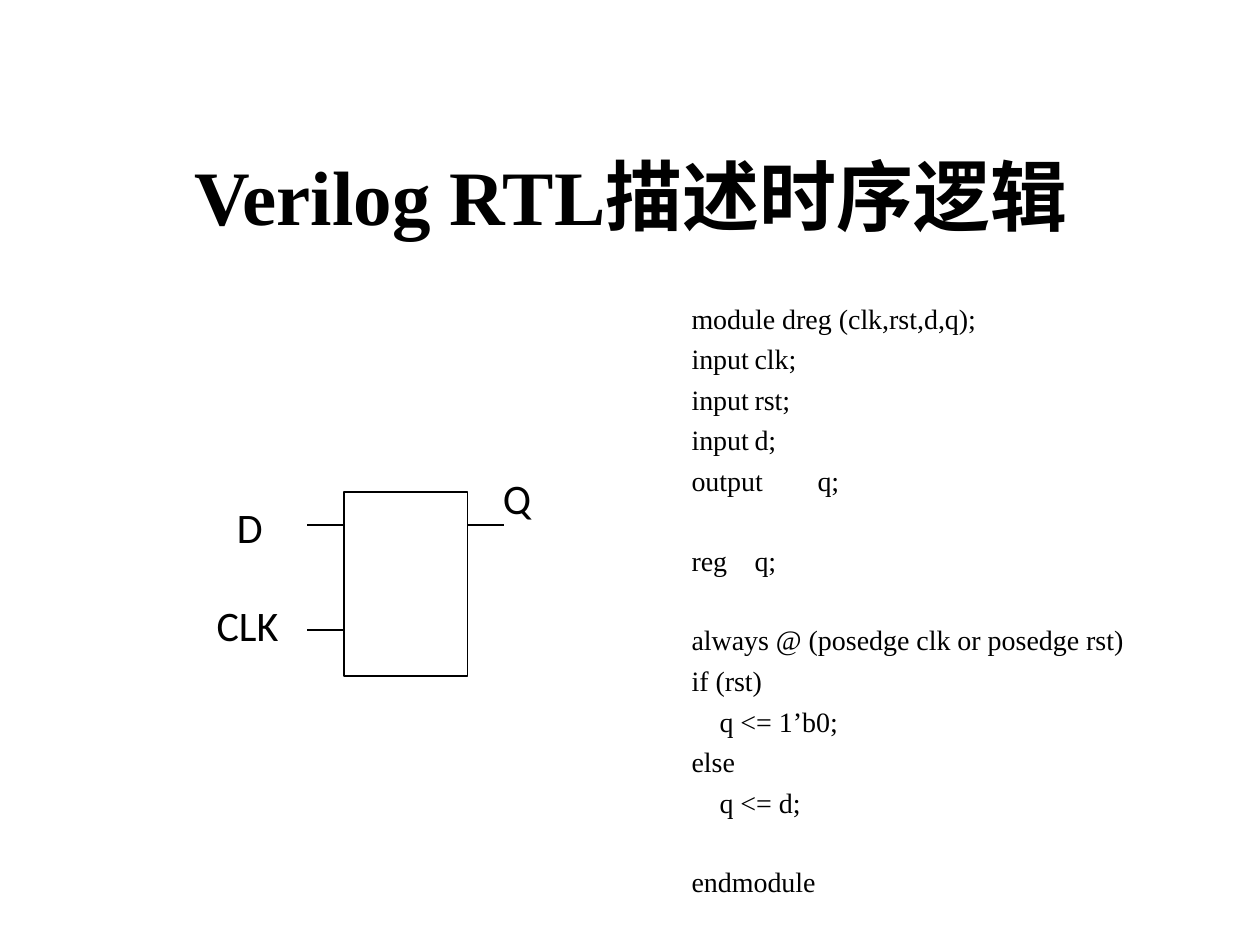
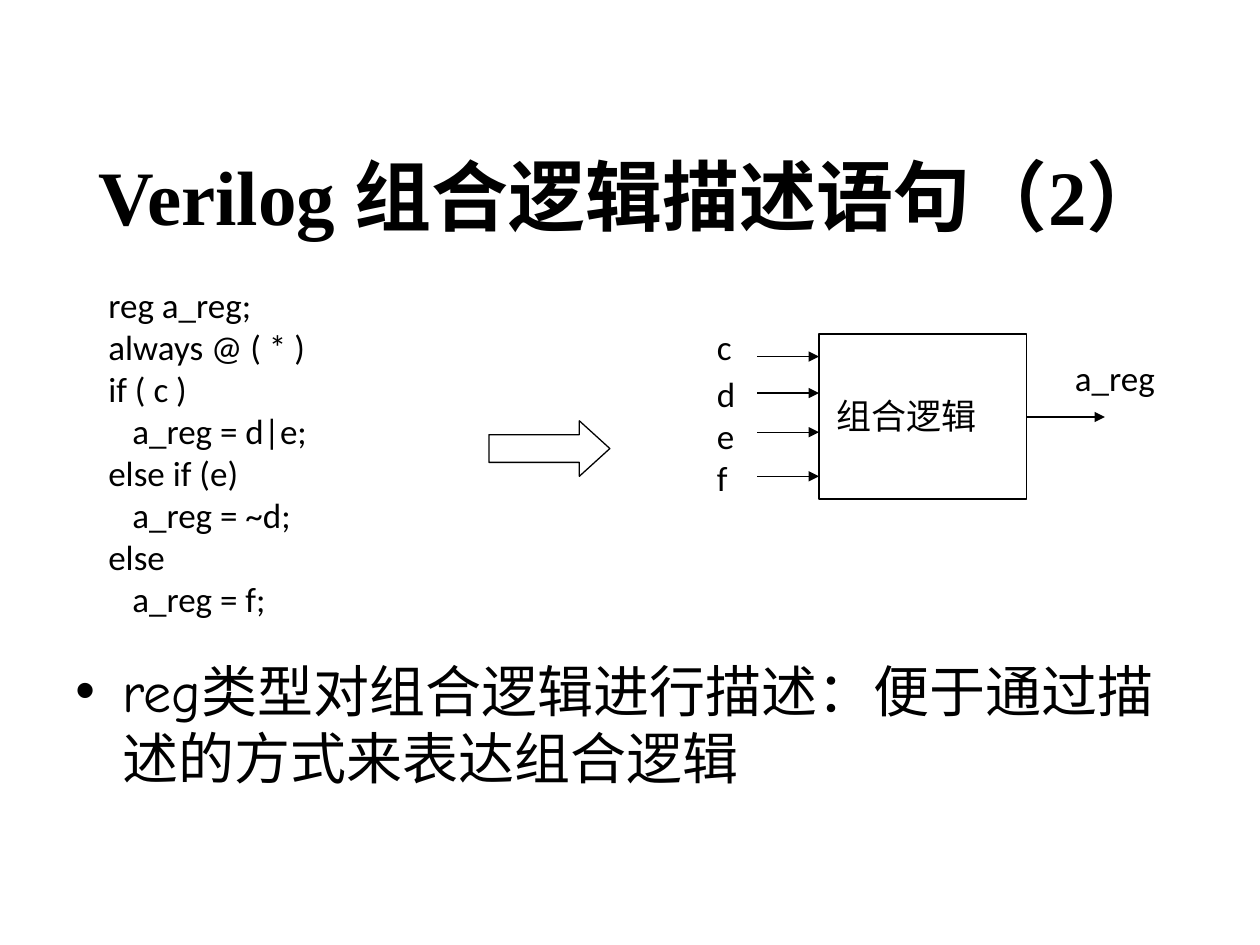
import pptx
import pptx.dml.color
import pptx.enum.shapes
import pptx.enum.text
import pptx.oxml
import pptx.oxml.ns
import pptx.util

Pt = pptx.util.Pt
SHAPES = pptx.enum.shapes.MSO_SHAPE
COLOURS = {"ink": "000000", "paper": "FFFFFF"}
SERIF, SANS, HAND = "Times New Roman", "Calibri", "Comic Neue"

# Code lines: (indent level, extra blank lines above, text)
REGISTER_TITLE = "Verilog RTL描述时序逻辑"
REGISTER_CODE = [
    (0, 0, "module dreg (clk,rst,d,q);"),
    (0, 0, "input\tclk;"),
    (0, 0, "input\trst;"),
    (0, 0, "input\td;"),
    (0, 0, "output\tq;"),
    (0, 1, "reg\tq;"),
    (0, 1, "always @ (posedge clk or posedge rst)"),
    (0, 0, "if (rst)"),
    (1, 0, "q <= 1’b0;"),
    (0, 0, "else"),
    (1, 0, "q <= d;"),
    (0, 1, "endmodule"),
]
# Pin labels: (text, left, top, width)
REGISTER_PINS = [("CLK", 123.8, 342.7, 36), ("D", 135.4, 286.6, 24), ("Q", 287.3, 270, 24)]

LOGIC_TITLE = "Verilog 组合逻辑描述语句（2）"
LOGIC_CODE = [
    (0, 0, "reg a_reg;"),
    (0, 0, "always @ ( * )"),
    (0, 0, "if ( c )"),
    (1, 0, "a_reg = d|e;"),
    (0, 0, "else if (e)"),
    (1, 0, "a_reg = ~d;"),
    (0, 0, "else"),
    (1, 0, "a_reg = f;"),
]
# Inputs: (text, label top, arrow height on the page)
LOGIC_INPUTS = [("c", 185.8, 203.8), ("d", 213.1, 224.6), ("e", 236.9, 247), ("f", 260.6, 272.2)]
LOGIC_NOTE = "reg类型对组合逻辑进行描述：便于通过描述的方式来表达组合逻辑"


def colour(name):
    return pptx.dml.color.RGBColor.from_string(COLOURS[name])


def add_span(para, text, size, font, bold=False):
    span = para.add_run()
    span.text = text
    span.font.size, span.font.name, span.font.bold = Pt(size), font, bold
    span.font.color.rgb = colour("ink")


def add_text(page, text, left, top, width, height, size=20, font=SANS, inset=(0, 0)):
    box = page.shapes.add_textbox(Pt(left), Pt(top), Pt(width), Pt(height))
    frame = box.text_frame
    frame.word_wrap = True
    frame.margin_left = frame.margin_right = Pt(inset[0])
    frame.margin_top = frame.margin_bottom = Pt(inset[1])
    if text:
        add_span(frame.paragraphs[0], text, size, font)
    return frame


def set_indent(para, margin, first=0):
    properties = para._p.get_or_add_pPr()
    properties.set("marL", str(Pt(margin)))
    properties.set("indent", str(Pt(first)))
    return properties


def add_code(frame, lines, size, font, step, gap=0, blank=0, tab=None):
    for number, (level, blanks, text) in enumerate(lines):
        para = frame.paragraphs[0] if number == 0 else frame.add_paragraph()
        para.space_before = Pt(gap + blanks * blank)
        properties = set_indent(para, level * step)
        if tab and "\t" in text:
            stops = pptx.oxml.ns.qn("a:tabLst"), pptx.oxml.ns.qn("a:tab")
            tab_list = properties.makeelement(stops[0], {})
            tab_list.append(tab_list.makeelement(stops[1], {"pos": str(Pt(tab)), "algn": "l"}))
            properties.append(tab_list)
        add_span(para, text, size, font)


def add_block(page, kind, left, top, width, height):
    block = page.shapes.add_shape(kind, Pt(left), Pt(top), Pt(width), Pt(height))
    block.shadow.inherit = False
    block.fill.solid()
    block.fill.fore_color.rgb = colour("paper")
    block.line.color.rgb = colour("ink")
    block.line.width = Pt(0.75)
    return block


def add_wire(page, start, end, height, arrow=False):
    """Draw a level line, with an arrowhead at its end if asked."""
    wire = page.shapes.add_connector(
        pptx.enum.shapes.MSO_CONNECTOR.STRAIGHT, Pt(start), Pt(height), Pt(end), Pt(height))
    wire.line.color.rgb = colour("ink")
    wire.line.width = Pt(0.75)
    if arrow:
        line = wire.line._get_or_add_ln()
        line.append(line.makeelement(pptx.oxml.ns.qn("a:tailEnd"), {"type": "triangle"}))
    properties = wire._element.spPr
    properties.append(properties.makeelement(pptx.oxml.ns.qn("a:effectLst"), {}))


def add_page(deck, title):
    page = deck.slides.add_slide(deck.slide_layouts[5])
    box = page.shapes.title
    box.left, box.top, box.width, box.height = Pt(36.7), Pt(66.2), Pt(648), Pt(90)
    frame = box.text_frame
    frame.auto_size = pptx.enum.text.MSO_AUTO_SIZE.NONE
    frame.vertical_anchor = pptx.enum.text.MSO_ANCHOR.MIDDLE
    frame.paragraphs[0].alignment = pptx.enum.text.PP_ALIGN.CENTER
    add_span(frame.paragraphs[0], title, 44, SERIF, bold=True)
    return page


def add_register_page(deck):
    page = add_page(deck, REGISTER_TITLE)
    frame = add_text(page, "", 388.1, 168.5, 281.5, 348.5, inset=(7.2, 3.6))
    add_code(frame, REGISTER_CODE, 16, SERIF, step=16, gap=4, blank=22.4, tab=44.6)
    left, right, stub = 196.6, 267.1, 20.9
    add_block(page, SHAPES.RECTANGLE, left, 281.2, right - left, 105.1)
    for start, height in [(left - stub, 360), (left - stub, 300), (right, 300)]:
        add_wire(page, start, start + stub, height)
    for text, pin_left, top, width in REGISTER_PINS:
        add_text(page, text, pin_left, top, width, 27.4, size=24)


def add_logic_page(deck):
    page = add_page(deck, LOGIC_TITLE)
    note = add_text(page, LOGIC_NOTE, 36, 371.5, 648, 110.9, size=32, font=HAND, inset=(7.2, 3.6))
    properties = set_indent(note.paragraphs[0], 27, -27)
    for tag, key, value in [("a:buFont", "typeface", "Arial"), ("a:buChar", "char", "•")]:
        properties.append(properties.makeelement(pptx.oxml.ns.qn(tag), {key: value}))

    frame = add_text(page, "", 61.9, 162, 202.3, 192.2)
    add_code(frame, LOGIC_CODE, 20, SANS, step=13.7)
    arrow = add_block(page, SHAPES.RIGHT_ARROW, 279.4, 240.5, 69.1, 31.7)
    arrow.adjustments[1] = 0.55

    left, right = 468, 586.8
    add_block(page, SHAPES.RECTANGLE, left, 190.8, right - left, 94.3)
    add_text(page, "组合逻辑", 478.1, 225.4, 93.6, 21.6)
    add_wire(page, right, 631.4, 238.3, arrow=True)
    add_text(page, "a_reg", 614.2, 203.8, 61.2, 26.6)
    for text, top, height in LOGIC_INPUTS:
        add_text(page, text, 409.7, top, 17.3, 23.8)
        add_wire(page, 432.7, left, height, arrow=True)


def main():
    deck = pptx.Presentation()
    deck.slide_width, deck.slide_height = Pt(720), Pt(540)
    add_register_page(deck)
    add_logic_page(deck)
    deck.save("out.pptx")


if __name__ == "__main__":
    main()
